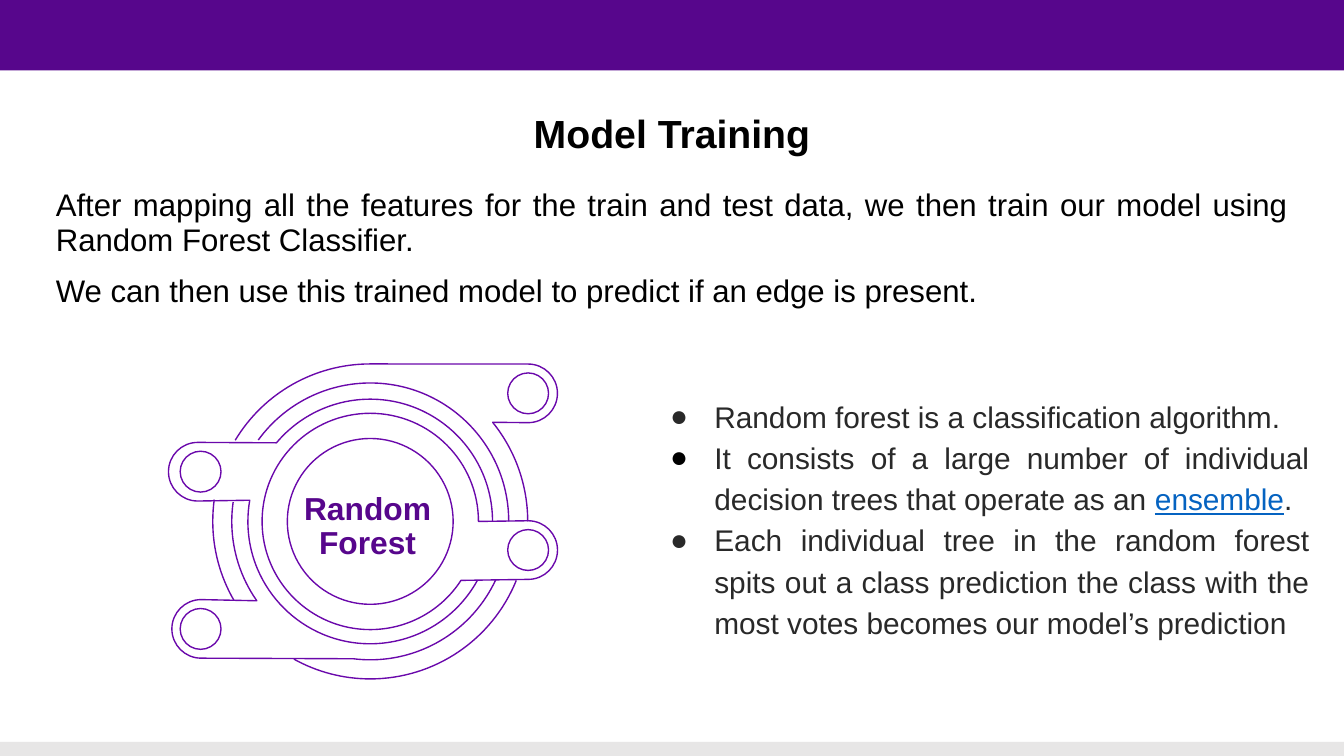
from math import cos, sin, tan, radians
from lxml.etree import SubElement
from pptx import Presentation
from pptx.dml.color import RGBColor
from pptx.enum.shapes import MSO_SHAPE
from pptx.enum.text import MSO_ANCHOR, PP_ALIGN
from pptx.oxml.ns import qn
from pptx.util import Inches, Pt

PURPLE = RGBColor(0x57, 0x06, 0x8C)
VIOLET = RGBColor(0x6A, 0x08, 0xAB)
GREY = RGBColor(0xE7, 0xE6, 0xE6)
BLACK = RGBColor(0, 0, 0)
INK = RGBColor(0x29, 0x29, 0x29)
BLUE = RGBColor(0x05, 0x63, 0xC1)

# Grid of 100 columns by 56.25 rows, square cells
COLS, ROWS = 100, 56.25
CELL = Inches(10) // COLS

deck = Presentation()
deck.slide_width, deck.slide_height = Inches(10), int(ROWS * CELL)
slide = deck.slides.add_slide(deck.slide_layouts[6])
shapes = slide.shapes


def grid(box):
    return [round(v * CELL) for v in box]


def style(shape, fill=None, line=None):
    shape.shadow.inherit = False
    if fill is None:
        shape.fill.background()
    else:
        shape.fill.solid()
        shape.fill.fore_color.rgb = fill
    if line is None:
        shape.line.fill.background()
    else:
        shape.line.color.rgb = line
        shape.line.width = Pt(0.75)


def bullet(para, color):
    props = para._p.get_or_add_pPr()
    props.set("marL", str(Inches(0.5)))
    props.set("indent", str(-Inches(0.33)))
    tint = SubElement(props, qn("a:buClr"))
    SubElement(tint, qn("a:srgbClr")).set("val", str(color))
    SubElement(props, qn("a:buFont")).set("typeface", "Arial")
    SubElement(props, qn("a:buChar")).set("char", "●")


def text(box, paras, size, color=BLACK, bold=False, align=PP_ALIGN.CENTER,
         anchor=MSO_ANCHOR.MIDDLE, lead=0.9, before=(0,), dots=()):
    """Each paragraph is a list of (words, is_link) runs."""
    frame = shapes.add_textbox(*grid(box)).text_frame
    frame.word_wrap = True
    frame.vertical_anchor = anchor
    frame.margin_left = frame.margin_right = Pt(5.4)
    frame.margin_top = frame.margin_bottom = Pt(2.7)
    for i, runs in enumerate(paras):
        para = frame.paragraphs[0] if i == 0 else frame.add_paragraph()
        para.alignment, para.line_spacing = align, lead
        para.space_before = Pt(before[i])
        if dots:
            bullet(para, dots[i])
        for words, link in runs:
            run = para.add_run()
            run.text = words
            font = run.font
            font.name, font.size, font.bold = "Arial", Pt(size), bold
            font.underline = link
            font.color.rgb = BLUE if link else color


def bars():
    for box, fill, line in (((0, 0, COLS, 5.25), PURPLE, None),
                            ((0, 55.2, COLS, ROWS - 55.2), GREY, None),
                            ((85.9, 0.7, 13.3, 4.4), PURPLE, PURPLE)):
        style(shapes.add_shape(MSO_SHAPE.RECTANGLE, *grid(box)), fill, line)


def intro(left, top, width):
    text((left, top, width, 6.7), [[("Model Training", False)]], 21, bold=True)
    text((left, top + 6.85, width, 10), [
        [("After mapping all the features for the train and test data, we then "
          "train our model using Random Forest Classifier.", False)],
        [("We can then use this trained model to predict if an edge is present.",
          False)],
    ], 16.7, align=PP_ALIGN.JUSTIFY, anchor=MSO_ANCHOR.TOP, lead=0.95,
        before=(8, 8))


def arc(mid, rad, start, end):
    """Nodes (point, controls), cut at quarter turns so the bounds are exact.

    Angles are in degrees, clockwise from the right.
    """
    low, high = sorted((start, end))
    cuts = [low] + [q for q in range(-360, 361, 90) if low < q < high] + [high]
    if start > end:
        cuts.reverse()

    def spot(deg, pull=0):
        c, s = cos(radians(deg)), sin(radians(deg))
        return mid[0] + rad * (c - pull * s), mid[1] + rad * (s + pull * c)

    nodes = [(spot(start), None)]
    for a, b in zip(cuts, cuts[1:]):
        pull = 4 / 3 * tan(radians(b - a) / 4)
        nodes.append((spot(b), (spot(a, pull), spot(b, -pull))))
    return nodes


def trace(nodes, close=False):
    points = [grid(point) for point, _ in nodes]
    pen = shapes.build_freeform(*points[0])
    pen.add_line_segments(points[1:], close=close)
    shape = pen.convert_to_shape()
    # Turn the straight steps that have controls into curves
    steps = list(shape._element.iter(qn("a:lnTo")))
    for step, (_, pulls) in zip(steps, nodes[1:]):
        if pulls:
            step.tag = qn("a:cubicBezTo")
            for i, pull in enumerate(pulls):
                x, y = grid(pull)
                knot = SubElement(step, qn("a:pt"))
                knot.set("x", str(x - shape.left))
                knot.set("y", str(y - shape.top))
                step.insert(i, knot)
    style(shape, line=VIOLET)


def disc(mid, rad):
    box = (mid[0] - rad, mid[1] - rad, 2 * rad, 2 * rad)
    style(shapes.add_shape(MSO_SHAPE.OVAL, *grid(box)), line=VIOLET)


def emblem(left, top):
    hub = (left + 15.05, top + 11.75)
    rim, band, ring, core, eye = 11.72, 10.3, 9.1, 8.05, 6.17
    tab, hole = 2.18, 1.52

    def near(x, y):
        return hub[0] + x, hub[1] + y

    ne, nw, se, sw = (near(*p) for p in ((11.75, -9.53), (-12.83, -3.7),
                                         (11.75, 2.13), (-12.58, 8)))

    # Loose arcs of the rim and band
    trace(arc(hub, rim, 119, 22))
    trace(arc(hub, rim, 188, 150))
    # Arms, each running from a ring around a rounded tab
    trace(arc(hub, rim, 0, -39) + arc(ne, tab, 90, -90) + arc(hub, rim, -90, -149))
    trace(arc(hub, band, 188, 145) + arc(sw, tab, 270, 90) + arc(hub, band, 97, 25))
    trace(arc(hub, band, 0, -144))
    trace(arc(hub, ring, 0, -140) + arc(nw, tab, 270, 90) + arc(hub, ring, 190, 29))
    trace(arc(hub, core, 0, -327) + arc(se, tab, 90, -90), close=True)
    # Round holes and hub
    for pin in (ne, se, near(-12.62, -3.7), near(-12.62, 8)):
        disc(pin, hole)
    disc(hub, eye)
    text((left + 6.4, top + 7.2, 16.9, 10), [[("Random Forest", False)]], 17,
         PURPLE, bold=True)


def facts(box):
    text(box, [
        [("Random forest is a classification algorithm.", False)],
        [("It consists of a large number of individual decision trees that "
          "operate as an ", False), ("ensemble", True), (".", False)],
        [("Each individual tree in the random forest spits out a class prediction "
          "the class with the most votes becomes our model’s prediction", False)],
    ], 16, INK, align=PP_ALIGN.JUSTIFY, lead=1.15, before=(8, 0, 0),
        dots=(INK, BLACK, INK))


bars()
intro(3.4, 6.75, 93.2)
emblem(12.5, 27.05)
facts((47.4, 23.3, 50.8, 30.3))
deck.save("out.pptx")
